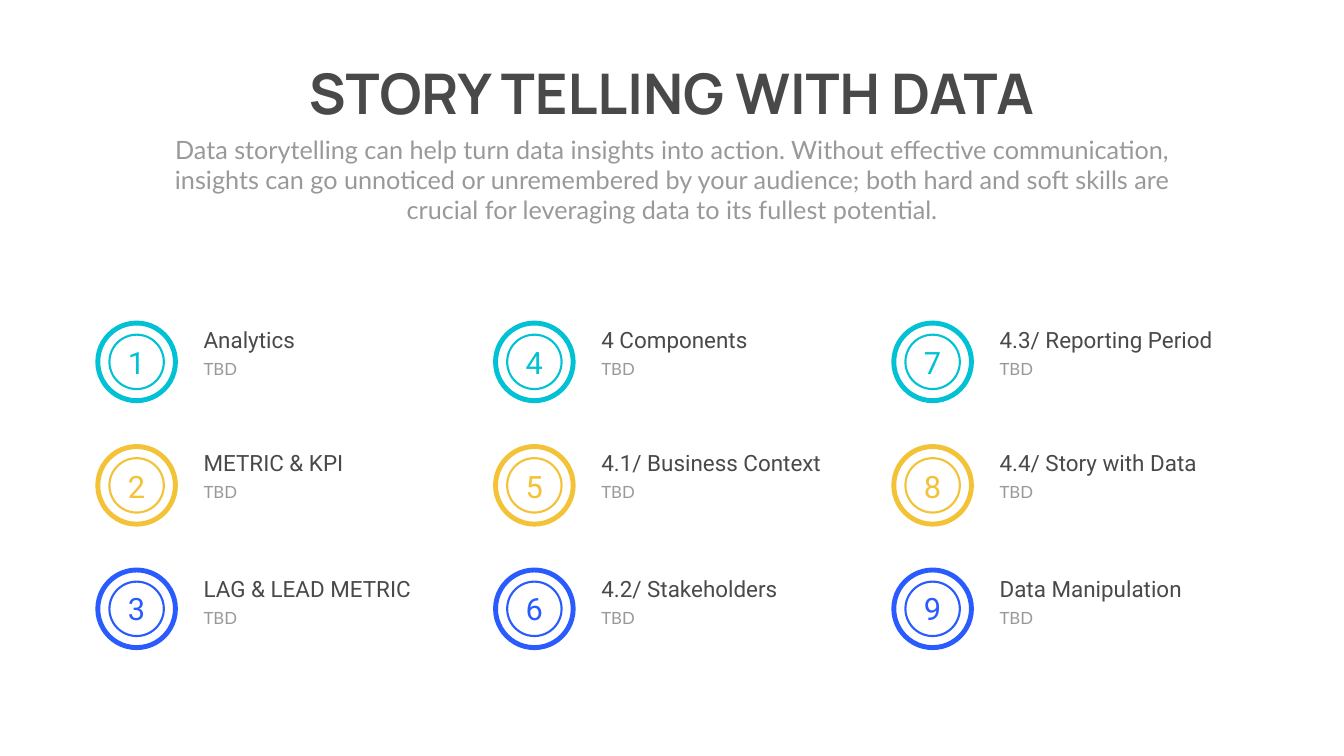
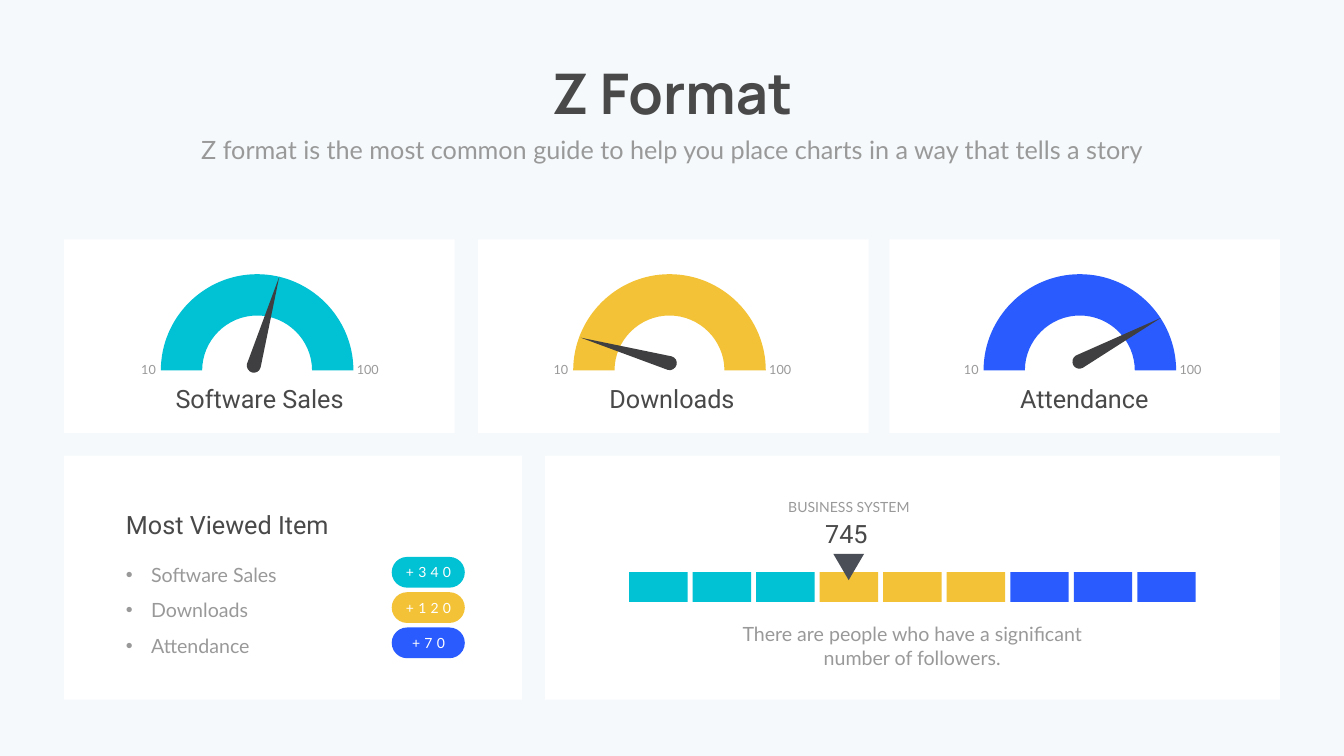
from dataclasses import dataclass

from lxml.etree import SubElement
from pptx import Presentation
from pptx.dml.color import RGBColor
from pptx.enum.shapes import MSO_SHAPE
from pptx.enum.text import MSO_AUTO_SIZE, PP_ALIGN
from pptx.oxml.ns import qn
from pptx.util import Inches, Pt


@dataclass(frozen=True)
class Theme:
    cyan: str = "01C1D4"
    yellow: str = "F3C236"
    blue: str = "2A5BFE"
    dark: str = "494949"
    grey: str = "999999"
    needle: str = "3F3E40"
    marker: str = "4A4E57"
    white: str = "FFFFFF"
    page: str = "F5F9FB"
    title_font: str = "Manrope"
    head_font: str = "Roboto"
    body_font: str = "Lato"
    title: int = 80
    number: int = 44
    large: int = 36
    item: int = 32
    body: int = 28
    small: int = 24
    tag: int = 20
    tick: int = 18


T = Theme()
ACCENTS = (T.cyan, T.yellow, T.blue)
W, H = 26.66, 15
LEFT, CENTER, RIGHT = PP_ALIGN.LEFT, PP_ALIGN.CENTER, PP_ALIGN.RIGHT

AGENDA = {
    "title": "STORY TELLING WITH DATA",
    "subtitle": "Data storytelling can help turn data insights into action. "
                "Without effective communication, insights can go unnoticed or "
                "unremembered by your audience; both hard and soft skills are "
                "crucial for leveraging data to its fullest potential.",
    "columns": [
        (1.94, ["Analytics", "METRIC & KPI", "LAG & LEAD METRIC"]),
        (9.83, ["4 Components", "4.1/ Business Context", "4.2/ Stakeholders"]),
        (17.73, ["4.3/ Reporting Period", "4.4/ Story with Data",
                 "Data Manipulation"]),
    ],
    "note": "TBD",
}
# colour, top of ring, of heading and of number
AGENDA_ROWS = [(T.cyan, 6.41, 6.42, 6.77),
               (T.yellow, 8.86, 8.87, 9.23),
               (T.blue, 11.31, 11.37, 11.66)]

DASHBOARD = {
    "title": "Z Format",
    "subtitle": "Z format is the most common guide to help you place charts "
                "in a way that tells a story",
    "list_title": "Most Viewed Item",
    "items": [("Software Sales", "+340"), ("Downloads", "+120"),
              ("Attendance", "+70")],
    "scale": ("10", "100"),
    "score_label": "BUSINESS SYSTEM",
    "score": "745",
    "score_note": "There are people who have a significant number of followers.",
}
# card left, gauge left, needle left and top, needle rotation
GAUGES = [(1.27, 3.19, 4.9, 5.49, 0),
          (9.48, 11.37, 12.17, 6.07, 270),
          (17.64, 19.51, 21.8, 5.78, 45.8)]


def rgb(color):
    return RGBColor.from_string(color)


def add_text(shapes, box, text, size, color=T.grey, font=T.body_font, align=LEFT,
             wrap=True, bold=False, leading=None):
    """Add a text box; a list of strings gives one paragraph each."""
    s = shapes.add_textbox(*map(Inches, box))
    tf = s.text_frame
    tf.word_wrap = wrap
    tf.auto_size = MSO_AUTO_SIZE.SHAPE_TO_FIT_TEXT
    tf.text = text if isinstance(text, str) else "\n".join(text)
    for p in tf.paragraphs:
        p.alignment = align
        if leading:
            p.line_spacing = leading
        for r in p.runs:
            r.font.size, r.font.name, r.font.bold = Pt(size), font, bold
            r.font.color.rgb = rgb(color)
    return s


def paint(s, fill=None, line=None, width=0):
    s.shadow.inherit = False
    if fill:
        s.fill.solid()
        s.fill.fore_color.rgb = rgb(fill)
    else:
        s.fill.background()
    if line:
        s.line.color.rgb = rgb(line)
        s.line.width = Pt(width)
    else:
        s.line.fill.background()
    return s


def add_shape(shapes, kind, box, **style):
    return paint(shapes.add_shape(kind, *map(Inches, box)), **style)


def add_outline(shapes, start, steps, fill):
    """Draw a closed outline; a step of one point is a line, of three a Bézier."""
    points = [(Inches(x), Inches(y)) for step in steps for x, y in step]
    builder = shapes.build_freeform(*map(Inches, start), scale=1.0)
    builder.add_line_segments(points, close=True)
    s = builder.convert_to_shape()
    lines = iter(list(s._element.iter(qn("a:lnTo"))))
    for step in steps:
        first, *others = [next(lines) for _ in step]
        if others:
            first.tag = qn("a:cubicBezTo")
            for line in others:
                first.append(line[0])
                line.getparent().remove(line)
    return paint(s, fill=fill)


def half_circle(cx, base, radius, side):
    """Two Bézier steps over the top, from the given side (1 right, -1 left)."""
    k = 0.55 * radius
    x, top = side * radius, base - radius
    return [[(cx + x, base - k), (cx + side * k, top), (cx, top)],
            [(cx - side * k, top), (cx - x, base - k), (cx - x, base)]]


def add_header(shapes, content, title_box, subtitle_height):
    add_text(shapes, title_box, content["title"], T.title, T.dark, T.title_font,
             CENTER, wrap=False, bold=True)
    add_text(shapes, (2.92, 2.61, 20.82, subtitle_height), content["subtitle"],
             T.large, align=CENTER)


def add_agenda_item(shapes, x, row, number, heading):
    color, ring_top, head_top, number_top = row
    for inset, size, width in ((0, 1.54, 7), (0.23, 1.08, 3)):
        add_shape(shapes, MSO_SHAPE.OVAL, (x + inset, ring_top + inset, size, size),
                  line=color, width=width)
    add_text(shapes, (x + 2, head_top, 4.99, 0.64), heading, T.item, T.dark,
             T.head_font)
    add_text(shapes, (x + 2, head_top + 0.64, 4.94, 0.5), AGENDA["note"], T.small)
    add_text(shapes, (x + 0.35, number_top, 0.84, 0.84), str(number), T.number,
             color, T.head_font, CENTER)


def build_agenda(s):
    add_header(s.shapes, AGENDA, (5.76, 1.12, 15.13, 1.45), 1.92)
    for c, (x, headings) in enumerate(AGENDA["columns"]):
        group = s.shapes.add_group_shape().shapes
        for i, (row, heading) in enumerate(zip(AGENDA_ROWS, headings)):
            add_agenda_item(group, x, row, 3 * c + i + 1, heading)


def add_needle(shapes, x, y, rotation):
    steps = [[(0.27, 1.8)],
             [(0.25, 1.88), (0.17, 1.92), (0.1, 1.9)],
             [(0.03, 1.88), (-0.02, 1.8), (0, 1.73)]]
    steps = [[(x + dx, y + dy) for dx, dy in step] for step in steps]
    add_outline(shapes, (x + 0.64, y), steps, T.needle).rotation = rotation


def add_gauge(shapes, x, needle, color):
    base, outer, inner = 7.35, 1.91, 1.09
    cx = x + outer
    steps = (half_circle(cx, base, outer, 1) + [[(cx - inner, base)]]
             + half_circle(cx, base, inner, -1))
    add_outline(shapes, (cx + outer, base), steps, color)
    add_needle(shapes, *needle)
    low, high = DASHBOARD["scale"]
    add_text(shapes, (x - 0.7, 6.87, 0.7, 0.59), low, T.tick, align=RIGHT,
             leading=Pt(40.8))
    add_text(shapes, (x + 3.79, 6.87, 0.9, 0.59), high, T.tick, leading=Pt(40.8))


def add_bullets(tf):
    for p in tf.paragraphs:
        pPr = p._p.get_or_add_pPr()
        pPr.set("marL", str(Inches(0.5)))
        pPr.set("indent", str(-Inches(0.5)))
        SubElement(pPr, qn("a:buFont")).set("typeface", "Arial")
        SubElement(pPr, qn("a:buChar")).set("char", "•")


def add_item_list(shapes):
    items = DASHBOARD["items"]
    add_text(shapes, (2.4, 10.06, 5.6, 0.71), DASHBOARD["list_title"], T.large,
             T.dark, T.head_font)
    names = add_text(shapes, (2.4, 10.89, 4.13, 2.13), [name for name, _ in items],
                     T.body, leading=1.5)
    add_bullets(names.text_frame)
    for i, (color, (_, gain)) in enumerate(zip(ACCENTS, items)):
        y = 11.05 + 0.7 * i
        pill = add_shape(shapes, MSO_SHAPE.ROUNDED_RECTANGLE, (7.77, y, 1.45, 0.61),
                         fill=color)
        pill.adjustments[0] = 0.5
        width = 1.19 if len(gain) > 3 else 0.94
        tag = add_text(shapes, (8.5 - width / 2, y + 0.09, width, 0.44), gain, T.tag,
                       T.white, align=CENTER, wrap=False)
        tag.text_frame.paragraphs[0].runs[0].font._element.set("spc", "600")


def add_score_bar(shapes):
    add_text(shapes, (15.77, 10.23, 2.04, 0.71), DASHBOARD["score"], T.large,
             T.dark, T.head_font, CENTER)
    add_text(shapes, (15.04, 9.61, 3.6, 0.59), DASHBOARD["score_label"], T.tag,
             align=CENTER, leading=Pt(40.8))
    for i in range(9):
        add_shape(shapes, MSO_SHAPE.RECTANGLE, (12.48 + 1.26 * i, 11.35, 1.16, 0.59),
                  fill=ACCENTS[i // 3])
    add_shape(shapes, MSO_SHAPE.FLOWCHART_MERGE, (16.53, 10.99, 0.61, 0.52),
              fill=T.marker)


def build_dashboard(s):
    shapes = s.shapes
    panels = [(1.27, 9.04, 9.08, 4.84), (10.81, 9.04, 14.58, 4.84)]
    panels += [(gauge[0], 4.75, 7.75, 3.84) for gauge in GAUGES]
    add_shape(shapes, MSO_SHAPE.RECTANGLE, (0, 0, W, H), fill=T.page)
    for box in panels:
        add_shape(shapes, MSO_SHAPE.RECTANGLE, box, fill=T.white)
    add_header(shapes.add_group_shape().shapes, DASHBOARD,
               (10.67, 1.12, 5.32, 1.45), 0.71)
    add_item_list(shapes.add_group_shape().shapes)
    for color, (_, x, *needle) in zip(ACCENTS, GAUGES):
        add_gauge(shapes.add_group_shape().shapes, x, needle, color)
    add_score_bar(shapes.add_group_shape().shapes)
    add_text(shapes, (14.46, 12.3, 7.27, 1.04), DASHBOARD["score_note"], T.body,
             align=CENTER)
    for i, (name, _) in enumerate(DASHBOARD["items"]):
        add_text(shapes, (2.35 + 8.18 * i, 7.56, 5.6, 0.71), name, T.large, T.dark,
                 T.head_font, CENTER)


def main():
    prs = Presentation()
    prs.slide_width, prs.slide_height = Inches(W), Inches(H)
    for build in (build_agenda, build_dashboard):
        build(prs.slides.add_slide(prs.slide_layouts[6]))
    prs.save("out.pptx")


if __name__ == "__main__":
    main()
